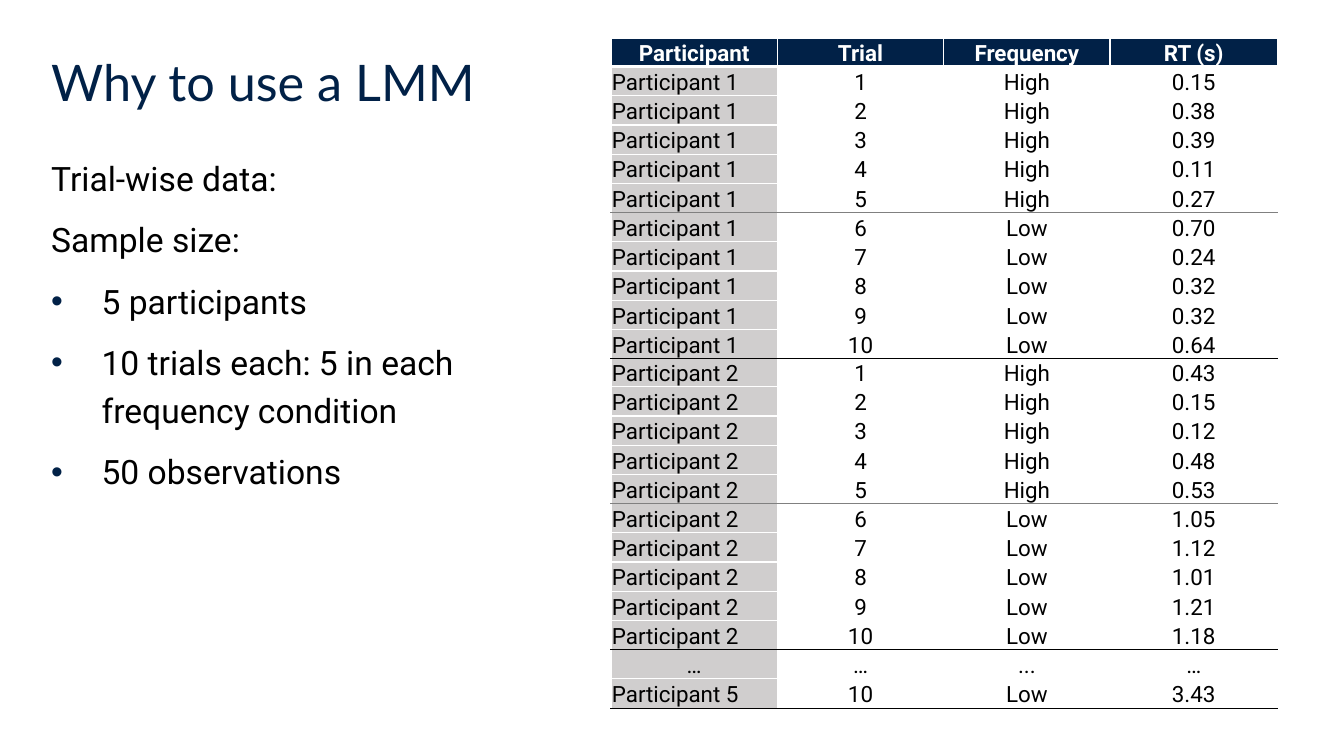
from lxml.etree import SubElement
from pptx import Presentation
from pptx.dml.color import RGBColor
from pptx.enum.text import MSO_ANCHOR, PP_ALIGN
from pptx.oxml.ns import qn
from pptx.util import Emu, Pt

PX = 9144  # one px is a hundredth of an inch
COLORS = {"navy": "012147", "black": "000000", "white": "FFFFFF",
          "grey": "808080", "shade": "D0CECE"}

HEADER = ("Participant", "Trial", "Frequency", "RT (s)")
REACTION_TIMES = {
    "Participant 1": "0.15 0.38 0.39 0.11 0.27 0.70 0.24 0.32 0.32 0.64",
    "Participant 2": "0.43 0.15 0.12 0.48 0.53 1.05 1.12 1.01 1.21 1.18",
}
# Colour and width of the rules below certain rows; all others are thin white
RULES = {0: ("white", 3), 5: ("grey", 1), 10: ("black", 1),
         15: ("grey", 1), 20: ("black", 1), 22: ("black", 1)}
THIN = ("white", 1)


def px(n):
    return Emu(n * PX)


def split_evenly(total, count):
    """Divide total px into count whole parts that add up exactly."""
    return [(i + 1) * total // count - i * total // count for i in range(count)]


def trial_rows():
    rows = [HEADER]
    for participant, times in REACTION_TIMES.items():
        for trial, time in enumerate(times.split(), 1):
            rows.append((participant, str(trial), "High" if trial <= 5 else "Low", time))
    rows.append(("…", "…", "...", "…"))
    rows.append(("Participant 5", "10", "Low", "3.43"))
    return rows


class SlideBuilder:
    title = {"name": "Lato", "size": Pt(36), "color": "navy"}
    body = {"name": "Roboto", "size": Pt(24), "color": "black"}
    cell = {"name": "Roboto", "size": Pt(16), "color": "black", "bold": False}
    head = {**cell, "color": "white", "bold": True}

    def __init__(self, prs):
        self.s = prs.slides.add_slide(prs.slide_layouts[6])

    def add_run(self, p, text, style):
        r = p.add_run()
        r.text = text
        for name, value in style.items():
            if name == "color":
                r.font.color.rgb = RGBColor.from_string(COLORS[value])
            else:
                setattr(r.font, name, value)

    def bullet(self, p):
        pPr = p._p.get_or_add_pPr()
        pPr.set("marL", str(px(50)))
        pPr.set("indent", str(px(-50)))
        color = SubElement(pPr, qn("a:buClr"))
        SubElement(color, qn("a:srgbClr"), val=COLORS["navy"])
        SubElement(pPr, qn("a:buFont"), typeface="Arial")
        SubElement(pPr, qn("a:buChar"), char="•")

    def text(self, box, paragraphs, style, spacing, anchor=MSO_ANCHOR.TOP):
        """Add a text box; paragraphs are (text, bulleted) pairs."""
        tf = self.s.shapes.add_textbox(*map(px, box)).text_frame
        tf.word_wrap = True
        tf.vertical_anchor = anchor
        for i, (text, bulleted) in enumerate(paragraphs):
            p = tf.add_paragraph() if i else tf.paragraphs[0]
            p.line_spacing = spacing
            if i:
                p.space_before = Pt(10)
            if bulleted:
                self.bullet(p)
            self.add_run(p, text, style)

    def borders(self, cell, top, bottom):
        tcPr = cell._tc.get_or_add_tcPr()
        sides = {"L": THIN, "R": THIN, "T": top, "B": bottom}
        for side, (color, width) in sides.items():
            ln = SubElement(tcPr, qn(f"a:ln{side}"), w=str(Pt(width)))
            fill = SubElement(ln, qn("a:solidFill"))
            SubElement(fill, qn("a:srgbClr"), val=COLORS[color])

    def fill_cell(self, cell, text, row, col):
        self.borders(cell, RULES.get(row - 1, THIN), RULES.get(row, THIN))
        layout = {"vertical_anchor": MSO_ANCHOR.BOTTOM, "margin_left": px(1),
                  "margin_right": px(1), "margin_top": px(1), "margin_bottom": 0}
        for name, value in layout.items():
            setattr(cell, name, value)
        if row and col:
            cell.fill.background()
        else:
            cell.fill.solid()
            color = "shade" if row else "navy"
            cell.fill.fore_color.rgb = RGBColor.from_string(COLORS[color])
        p = cell.text_frame.paragraphs[0]
        named = text.startswith("Participant ")
        p.alignment = PP_ALIGN.LEFT if named else PP_ALIGN.CENTER
        self.add_run(p, text, self.cell if row else self.head)

    def table(self, box, rows):
        frame = self.s.shapes.add_table(len(rows), len(rows[0]), *map(px, box))
        table = frame.table
        table.horz_banding = False
        for column, width in zip(table.columns, split_evenly(box[2], len(rows[0]))):
            column.width = px(width)
        for line, height in zip(table.rows, split_evenly(box[3], len(rows))):
            line.height = px(height)
        for row, values in enumerate(rows):
            for col, value in enumerate(values):
                self.fill_cell(table.cell(row, col), value, row, col)


def main():
    prs = Presentation()
    prs.slide_width, prs.slide_height = px(1333), px(750)
    slide = SlideBuilder(prs)
    slide.text((41, 40, 1248, 89), [("Why to use a LMM", False)],
               slide.title, 0.9, MSO_ANCHOR.MIDDLE)
    slide.text((41, 144, 453, 531), [
        ("Trial-wise data:", False),
        ("Sample size:", False),
        ("5 participants", True),
        ("10 trials each: 5 in each frequency condition", True),
        ("50 observations", True),
    ], slide.body, Pt(34))
    slide.table((606, 38, 661, 665), trial_rows())
    prs.save("out.pptx")


if __name__ == "__main__":
    main()
